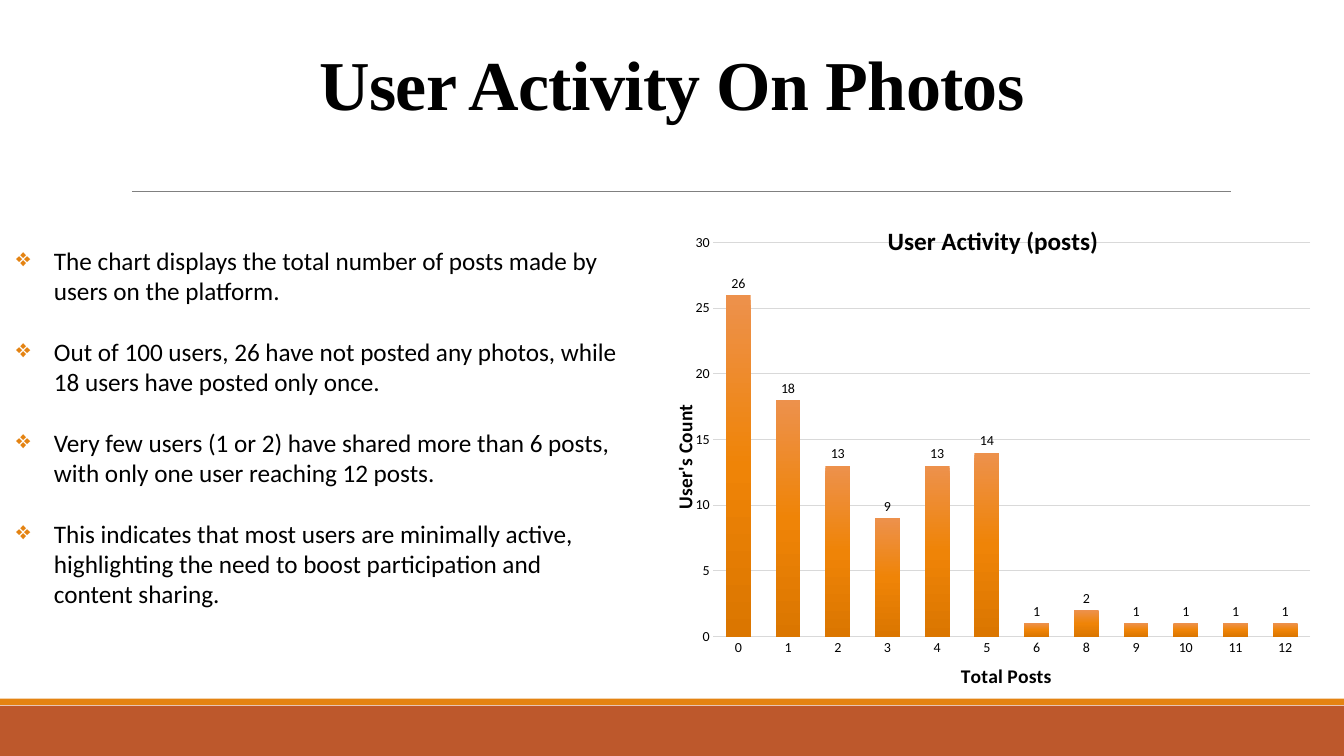
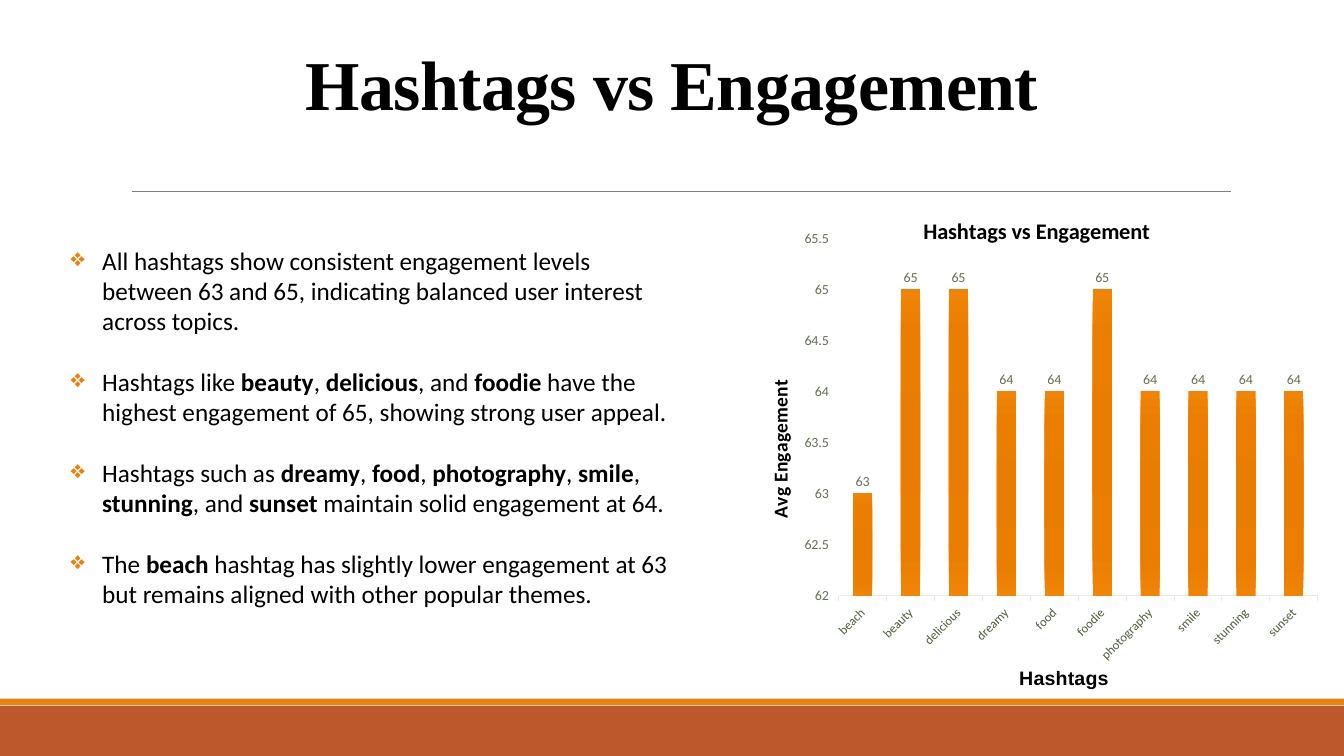
import pptx
import pptx.chart.data
import pptx.dml.color
import pptx.enum.chart
import pptx.enum.shapes
import pptx.enum.text
import pptx.oxml
import pptx.oxml.ns
import pptx.util

Pt = pptx.util.Pt
qn = pptx.oxml.ns.qn
TICKS = pptx.enum.chart.XL_TICK_MARK
BLACK, ORANGE, RUST, GREY = "000000", "E48312", "BD582C", "808080"
OLIVE, PALE_OLIVE, LIGHT_GREY = "637052", "E8EBE4", "D9D9D9"


def color(value):
    return pptx.dml.color.RGBColor.from_string(value)


def element(markup):
    namespaces = pptx.oxml.ns.nsdecls("a", "c")
    return pptx.oxml.parse_xml(markup.replace(">", f" {namespaces}>", 1) if "/>" not in markup.split(">")[0] + ">"
                               else markup.replace("/>", f" {namespaces}/>", 1))


class Deck:
    """Hold the presentation style and the current slide."""

    body_font = "Calibri"
    title_font = "Times New Roman"

    def __init__(self):
        self.presentation = pptx.Presentation()
        self.presentation.slide_width = Pt(960)
        self.presentation.slide_height = Pt(540)
        self.slide = None

    def add_slide(self, title):
        self.slide = self.presentation.slides.add_slide(self.presentation.slide_layouts[6])
        self.band(504, 36, RUST)
        self.band(499, 4.6, ORANGE)
        self.rule(94.3, 879, 136.8)
        self.title(title)

    def band(self, top, height, fill):
        shape = self.slide.shapes.add_shape(
            pptx.enum.shapes.MSO_SHAPE.RECTANGLE, 0, Pt(top), Pt(960), Pt(height))
        shape.shadow.inherit = False
        shape.fill.solid()
        shape.fill.fore_color.rgb = color(fill)
        shape.line.fill.background()

    def rule(self, left, right, top):
        connector = self.slide.shapes.add_connector(
            pptx.enum.shapes.MSO_CONNECTOR.STRAIGHT, Pt(left), Pt(top), Pt(right), Pt(top))
        connector.line.color.rgb = color(GREY)
        connector.line.width = Pt(0.5)
        connector._element.spPr.append(element("<a:effectLst/>"))

    def run(self, paragraph, text, size, bold=False, font=body_font):
        run = paragraph.add_run()
        run.text = text
        run.font.name = font
        run.font.size = Pt(size)
        run.font.bold = bold
        run.font.color.rgb = color(BLACK)
        return run

    def text_frame(self, left, top, width, height):
        frame = self.slide.shapes.add_textbox(Pt(left), Pt(top), Pt(width), Pt(height)).text_frame
        frame.word_wrap = True
        return frame

    def title(self, text):
        frame = self.text_frame(0, 0, 960, 92.9)
        frame.vertical_anchor = pptx.enum.text.MSO_ANCHOR.BOTTOM
        paragraph = frame.paragraphs[0]
        paragraph.alignment = pptx.enum.text.PP_ALIGN.CENTER
        paragraph.line_spacing = 0.85
        run = self.run(paragraph, text, 50, True, self.title_font)
        run._r.get_or_add_rPr().set("spc", "-50")

    def bullets(self, left, indent, items):
        """Write bulleted items, with bold words between asterisks."""
        frame = self.text_frame(left, 175, 430, 278)
        frame.margin_left = frame.margin_right = frame.margin_top = frame.margin_bottom = 0
        for index, item in enumerate(items):
            paragraph = frame.add_paragraph() if index else frame.paragraphs[0]
            properties = paragraph._p.get_or_add_pPr()
            properties.set("marL", str(Pt(indent)))
            properties.set("indent", str(-Pt(indent)))
            properties.append(element(f'<a:buClr><a:srgbClr val="{ORANGE}"/></a:buClr>'))
            properties.append(element('<a:buChar char="❖"/>'))
            if index:
                paragraph.space_before = Pt(21.8)
            for position, part in enumerate(item.split("*")):
                self.run(paragraph, part, 18, position % 2 == 1)

    def place(self, parent, index, target="", **fractions):
        for layout in parent.findall(qn("c:layout")):
            parent.remove(layout)
        modes = "".join(f'<c:{key}Mode val="edge"/>' for key in "xy")
        values = "".join(f'<c:{key} val="{value}"/>' for key, value in fractions.items())
        parent.insert(index, element(
            f"<c:layout><c:manualLayout>{target}{modes}{values}</c:manualLayout></c:layout>"))

    def chart_title(self, title, text, size, x, y, font=body_font, rotation=0):
        frame = title.text_frame
        self.run(frame.paragraphs[0], text, size, True, font)
        title._element.find(".//" + qn("a:bodyPr")).set("rot", str(rotation * 60000))
        self.place(title._element, 1, x=x, y=y)

    def chart(self, box, categories, values, plot_box, gap, overlap, text_color):
        data = pptx.chart.data.CategoryChartData()
        data.categories = categories
        data.add_series("Series 1", values)
        chart = self.slide.shapes.add_chart(
            pptx.enum.chart.XL_CHART_TYPE.COLUMN_CLUSTERED, *map(Pt, box), data).chart
        chart.has_legend = False
        chart.font.name = self.body_font
        chart.font.size = Pt(10)
        chart.font.color.rgb = color(text_color)
        plot = chart.plots[0]
        plot.vary_by_categories = False
        plot.gap_width = gap
        plot.overlap = overlap
        plot.has_data_labels = True
        plot.data_labels.show_value = True
        plot.data_labels.position = pptx.enum.chart.XL_LABEL_POSITION.OUTSIDE_END
        plot.series[0].invert_if_negative = False
        self.place(chart._chartSpace.find(".//" + qn("c:plotArea")), 0,
                   '<c:layoutTarget val="inner"/>', **dict(zip("xywh", plot_box)))
        return chart

    def gradient(self, chart, stops, direction):
        series = chart.plots[0].series[0]
        series.format.fill.gradient()
        fill = series._element.find(".//" + qn("a:gradFill"))
        for child in list(fill):
            fill.remove(child)
        marks = "".join(f'<a:gs pos="{position * 1000}"><a:srgbClr val="{value}"/></a:gs>'
                        for position, value in stops)
        fill.append(element(f"<a:gsLst>{marks}</a:gsLst>"))
        fill.append(element(direction))

    def axes(self, chart, low, high, step, ticks, line, width, grid=None):
        category, value = chart.category_axis, chart.value_axis
        for axis in (category, value):
            axis.major_tick_mark = ticks
            axis.minor_tick_mark = TICKS.NONE
        category.format.line.color.rgb = color(line)
        category.format.line.width = Pt(width)
        value.format.line.fill.background()
        value.minimum_scale, value.maximum_scale, value.major_unit = low, high, step
        value.tick_labels.number_format = "General"
        value.tick_labels.number_format_is_linked = False
        value.has_major_gridlines = grid is not None
        if grid:
            value.major_gridlines.format.line.color.rgb = color(grid)
            value.major_gridlines.format.line.width = Pt(0.75)

    def slant_categories(self, chart, size, degrees):
        axis = chart.category_axis
        axis.tick_labels.font.size = Pt(size)
        axis.tick_labels.font.color.rgb = color(OLIVE)
        body = axis._element.find(qn("c:txPr")).find(qn("a:bodyPr"))
        body.set("rot", str(degrees * 60000))


def activity_slide(deck):
    deck.add_slide("User Activity On Photos")
    deck.bullets(11.5, 27, [
        "The chart displays the total number of posts made by users on the platform.",
        "Out of 100 users, 26 have not posted any photos, while 18 users have posted only once.",
        "Very few users (1 or 2) have shared more than 6 posts, with only one user reaching 12 posts.",
        "This indicates that most users are minimally active, highlighting the need to boost "
        "participation and content sharing.",
    ])
    chart = deck.chart(
        (467.3, 139, 481, 357), ["0", "1", "2", "3", "4", "5", "6", "8", "9", "10", "11", "12"],
        [26, 18, 13, 9, 13, 14, 1, 2, 1, 1, 1, 1], (0.088, 0.097, 0.886, 0.798), 100, -24, BLACK)
    deck.gradient(chart, [(0, "ED914C"), (50, "EF8407"), (100, "DB7600")],
                  '<a:lin ang="5400000" scaled="0"/>')
    deck.axes(chart, 0, 30, 5, TICKS.NONE, LIGHT_GREY, 1, LIGHT_GREY)
    deck.chart_title(chart.chart_title, "User Activity (posts)", 18, 0.34, 0.05)
    deck.chart_title(chart.category_axis.axis_title, "Total Posts", 14, 0.45, 0.94)
    deck.chart_title(chart.value_axis.axis_title, "User's Count", 14, 0.02, 0.42, rotation=-90)


def hashtag_slide(deck):
    deck.add_slide("Hashtags vs Engagement")
    deck.bullets(50.5, 22.5, [
        "All hashtags show consistent engagement levels between 63 and 65, indicating balanced "
        "user interest across topics.",
        "Hashtags like *beauty*, *delicious*, and *foodie* have the highest engagement of 65, "
        "showing strong user appeal.",
        "Hashtags such as *dreamy*, *food*, *photography*, *smile*, *stunning*, and *sunset* "
        "maintain solid engagement at 64.",
        "The *beach* hashtag has slightly lower engagement at 63 but remains aligned with other "
        "popular themes.",
    ])
    chart = deck.chart(
        (523.4, 137, 430, 360),
        ["beach", "beauty", "delicious", "dreamy", "food", "foodie", "photography", "smile",
         "stunning", "sunset"],
        [63, 65, 65, 64, 64, 65, 64, 64, 64, 64], (0.176, 0.093, 0.796, 0.714), 150, -25, OLIVE)
    deck.gradient(chart, [(0, "E57B00"), (34, "E87D00"), (70, "EB7E00"), (100, "EF8407")],
                  '<a:path path="circle"><a:fillToRect l="100000" t="100000" r="100000" b="100000"/></a:path>')
    deck.axes(chart, 62, 65.5, 0.5, TICKS.OUTSIDE, PALE_OLIVE, 0.75)
    deck.slant_categories(chart, 9, -45)
    deck.chart_title(chart.chart_title, "Hashtags vs Engagement", 16, 0.31, 0.04)
    deck.chart_title(chart.category_axis.axis_title, "Hashtags", 14, 0.47, 0.94, "Arial")
    deck.chart_title(chart.value_axis.axis_title, "Avg Engagement", 14, 0.05, 0.37, rotation=-90)


def main():
    deck = Deck()
    activity_slide(deck)
    hashtag_slide(deck)
    deck.presentation.save("out.pptx")


if __name__ == "__main__":
    main()
